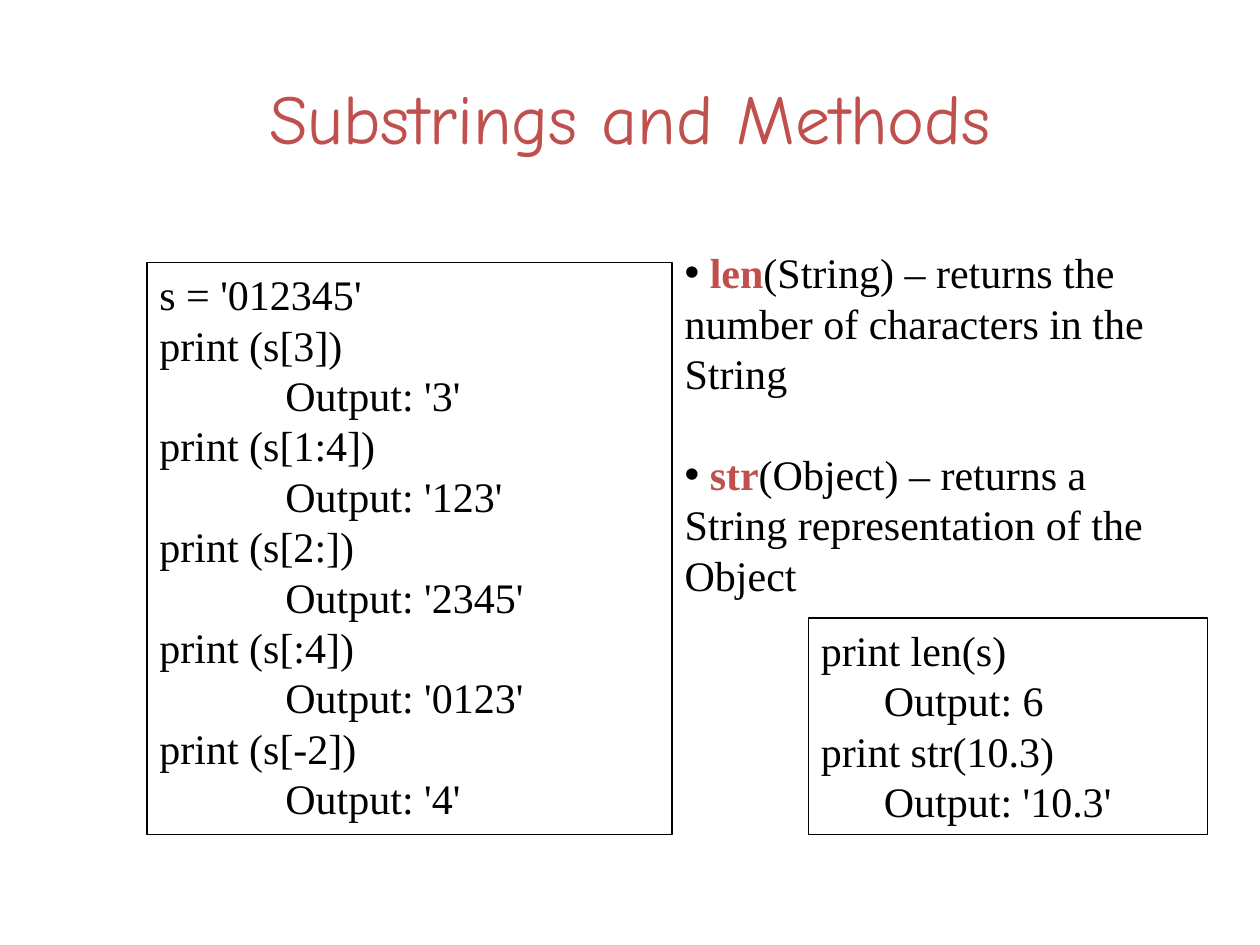
"""Build the "Substrings and Methods" slide with code samples and method notes."""
import pptx
import pptx.dml.color
import pptx.enum.shapes
import pptx.enum.text
import pptx.oxml.ns
import pptx.util
import lxml.etree

Pt = pptx.util.Pt
COLORS = {"text": "000000", "accent": "C0504D"}
BODY_FONT = "Times New Roman"


def style(run, color, font=BODY_FONT, size=24, bold=False):
    run.font.name = font
    run.font.size = Pt(size)
    run.font.bold = bold
    run.font.color.rgb = pptx.dml.color.RGBColor.from_string(COLORS[color])


def place(shape, left, top, width, height):
    shape.left, shape.top = Pt(left), Pt(top)
    shape.width, shape.height = Pt(width), Pt(height)


deck = pptx.Presentation()
deck.slide_width, deck.slide_height = Pt(720), Pt(540)
slide = deck.slides.add_slide(deck.slide_layouts[1])

heading = slide.shapes.title
place(heading, 36, 21.6, 648, 90)
heading.text_frame.text = "Substrings and Methods"
heading.text_frame.vertical_anchor = pptx.enum.text.MSO_ANCHOR.MIDDLE
heading.text_frame.paragraphs[0].alignment = pptx.enum.text.PP_ALIGN.CENTER
style(heading.text_frame.paragraphs[0].runs[0], "accent", "Comic Neue", 40)

methods = [
    ("len", "(String) – returns the number of characters in the String"),
    ("str", "(Object) – returns a String representation of the Object"),
]
method_list = slide.placeholders[1]
place(method_list, 384, 137.5, 280, 209)
method_list.text_frame.word_wrap = True
method_list.text_frame.auto_size = pptx.enum.text.MSO_AUTO_SIZE.NONE
for index, (method, meaning) in enumerate(methods):
    if index:
        entry = method_list.text_frame.add_paragraph()
    else:
        entry = method_list.text_frame.paragraphs[0]
    entry.space_before = Pt(28.8 * index)
    properties = entry._p.get_or_add_pPr()
    properties.set("marL", "0")
    properties.set("indent", "0")
    bullet = lxml.etree.SubElement(properties, pptx.oxml.ns.qn("a:buChar"))
    bullet.set("char", "•")
    for words, color in [(" ", "text"), (method, "accent"), (meaning, "text")]:
        run = entry.add_run()
        run.text = words
        style(run, color, bold=color == "accent")

slices = [("3", "3"), ("1:4", "123"), ("2:", "2345"), (":4", "0123"), ("-2", "4")]
slice_lines = ["s = '012345'"]
for bounds, output in slices:
    slice_lines += [f"print (s[{bounds}])", f"\t\tOutput: '{output}'"]
call_lines = ["print len(s)", "\tOutput: 6", "print str(10.3)", "\tOutput: '10.3'"]

samples = [
    (slice_lines, (84, 150, 300, 327)),
    (call_lines, (462, 353.25, 228, 123.75)),
]
for lines, bounds in samples:
    sample = slide.shapes.add_shape(
        pptx.enum.shapes.MSO_SHAPE.RECTANGLE, *(Pt(length) for length in bounds)
    )
    sample.shadow.inherit = False
    sample.fill.background()
    sample.line.color.rgb = pptx.dml.color.RGBColor.from_string(COLORS["text"])
    sample.line.width = Pt(0.75)
    sample.text_frame.word_wrap = True
    sample.text_frame.vertical_anchor = pptx.enum.text.MSO_ANCHOR.TOP
    sample.text_frame.text = "\n".join(lines)
    for code_line in sample.text_frame.paragraphs:
        code_line.alignment = pptx.enum.text.PP_ALIGN.LEFT
        style(code_line.runs[0], "text")

deck.save("out.pptx")
